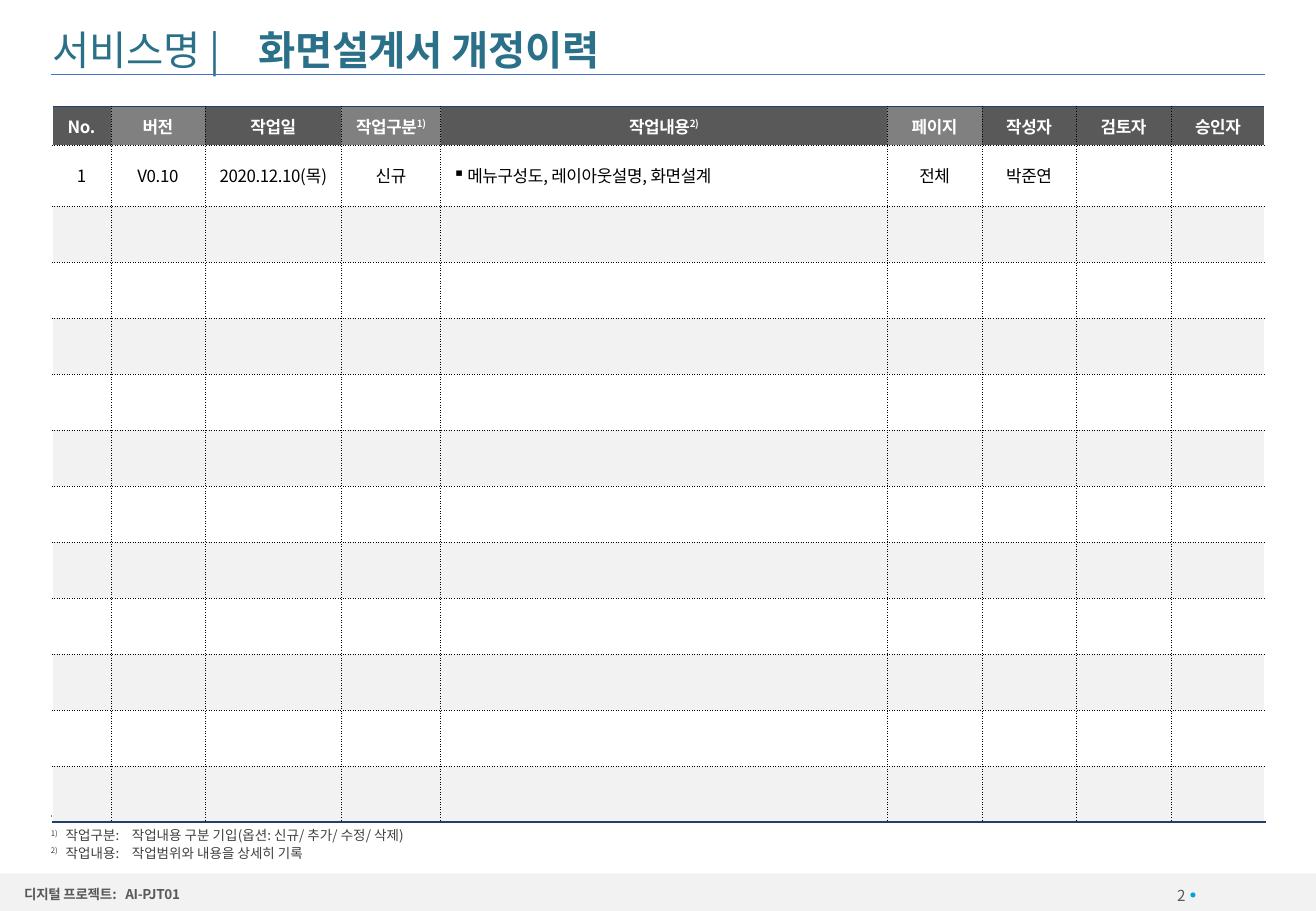
from lxml import etree
from pptx import Presentation
from pptx.dml.color import RGBColor
from pptx.enum.shapes import MSO_CONNECTOR, MSO_SHAPE
from pptx.enum.text import MSO_ANCHOR, MSO_AUTO_SIZE, PP_ALIGN
from pptx.oxml.ns import qn
from pptx.util import Pt

FONT = "Noto Sans CJK KR"
COLORS = {
    "teal": "2B7089", "navy": "1F4E79", "rule": "4472C4", "edge": "22416A",
    "dark": "595959", "mid": "808080", "note": "404040", "band": "F2F2F2",
    "dot": "00A3DF", "black": "000000", "white": "FFFFFF",
}
COLUMN_WIDTHS = [34.6, 56, 80.8, 58.8, 264.8, 56, 56, 56, 56]
HEADER_HEIGHT, ROW_HEIGHT, ROW_COUNT = 23.1, 33.2, 13
HEADERS = ["No.", "버전", "작업일", ("작업구분", "1)"), ("작업내용", "2)"),
           "페이지", "작성자", "검토자", "승인자"]
LIGHT_HEADERS = {1, 3, 5}
CONTENT_COLUMN = 4
FIRST_REVISION = ["1", "V0.10", "2020.12.10(목)", "신규",
                  "메뉴구성도, 레이아웃설명, 화면설계", "전체", "박준연", "", ""]
NOTES = [("1)", "작업구분:\t작업내용 구분 기입(옵션: 신규/ 추가/ 수정/ 삭제)"),
         ("2)", "작업내용:\t작업범위와 내용을 상세히 기록")]


def rgb(name):
    return RGBColor.from_string(COLORS[name])


def set_format(target, values):
    for name, value in values.items():
        setattr(target, name, value)


def add_run(p, text, size, color=None, bold=False, baseline=0, spacing=0):
    r = p.add_run()
    r.text = text
    set_format(r.font, {"name": FONT, "size": Pt(size), "bold": bold})
    if color:
        r.font.color.rgb = rgb(color)
    props = r._r.get_or_add_rPr()
    for name, value in {"baseline": baseline, "spc": spacing}.items():
        if value:
            props.set(name, str(value))
    etree.SubElement(props, qn("a:ea"), typeface=FONT)
    return r


def add_tabs(p, *stops):
    tabs = etree.SubElement(p._p.get_or_add_pPr(), qn("a:tabLst"))
    for stop in stops:
        etree.SubElement(tabs, qn("a:tab"), pos=str(Pt(stop)), algn="l")


def format_frame(tf, anchor):
    set_format(tf, {
        "word_wrap": True, "auto_size": MSO_AUTO_SIZE.NONE,
        "vertical_anchor": anchor, "margin_left": 0, "margin_right": 0,
        "margin_top": 0, "margin_bottom": 0,
    })


def add_text_frame(s, box, anchor=MSO_ANCHOR.MIDDLE):
    tf = s.shapes.add_textbox(*map(Pt, box)).text_frame
    format_frame(tf, anchor)
    return tf


def add_filled_shape(s, kind, box, color):
    sp = s.shapes.add_shape(kind, *map(Pt, box))
    sp.shadow.inherit = False
    sp.fill.solid()
    sp.fill.fore_color.rgb = rgb(color)
    sp.line.fill.background()


def add_rule(s, x1, x2, y, color, width):
    line = s.shapes.add_connector(
        MSO_CONNECTOR.STRAIGHT, Pt(x1), Pt(y), Pt(x2), Pt(y))
    line.line.color.rgb = rgb(color)
    line.line.width = Pt(width)
    etree.SubElement(line._element.spPr, qn("a:effectLst"))


def add_title(s):
    title = s.shapes.title
    set_format(title, {"left": Pt(31), "top": Pt(13), "width": Pt(719),
                       "height": Pt(32)})
    format_frame(title.text_frame, MSO_ANCHOR.MIDDLE)
    p = title.text_frame.paragraphs[0]
    p.alignment = PP_ALIGN.LEFT
    add_tabs(p, 122)
    for text, bold in [("서비스명 |\t", False), ("화면설계서 개정이력", True)]:
        fill = add_run(p, text, 24, bold=bold, spacing=-20).font.fill
        fill.gradient()
        fill.gradient_angle = 270
        for stop, color in zip(fill.gradient_stops, ("teal", "navy")):
            stop.color.rgb = rgb(color)


def add_border(cell, side, color="black", width=0.25, dash="sysDot"):
    ln = etree.Element(qn(f"a:ln{side}"), w=str(Pt(width)))
    fill = etree.SubElement(ln, qn("a:solidFill"))
    etree.SubElement(fill, qn("a:srgbClr"), val=COLORS[color])
    etree.SubElement(ln, qn("a:prstDash"), val=dash)
    cell._tc.get_or_add_tcPr().append(ln)


def add_borders(cell, row, col):
    if col > 0:
        add_border(cell, "L")
    if col < len(COLUMN_WIDTHS) - 1:
        add_border(cell, "R")
    if row == 0:
        add_border(cell, "T", "edge", 0.5, "solid")
    else:
        add_border(cell, "T")
    if row == ROW_COUNT - 1:
        add_border(cell, "B", "edge", 1, "solid")
    else:
        add_border(cell, "B")


def fill_cell(cell, color):
    if color:
        cell.fill.solid()
        cell.fill.fore_color.rgb = rgb(color)
    else:
        cell.fill.background()


def write_cell(cell, content, color, bold):
    p = cell.text_frame.paragraphs[0]
    p.alignment = PP_ALIGN.CENTER
    text, mark = content if isinstance(content, tuple) else (content, "")
    if text:
        add_run(p, text, 10, color, bold, spacing=-20)
    else:
        etree.SubElement(p._p, qn("a:endParaRPr"), sz="1000")
    if mark:
        add_run(p, mark, 10, color, bold, 30000, -20)


def add_bullet(p):
    p.alignment = PP_ALIGN.LEFT
    props = p._p.get_or_add_pPr()
    props.set("marL", str(Pt(8.64)))
    props.set("indent", str(Pt(-8.64)))
    etree.SubElement(props, qn("a:buChar"), char="▪")


def add_history_table(s):
    height = HEADER_HEIGHT + ROW_HEIGHT * (ROW_COUNT - 1)
    table = s.shapes.add_table(
        ROW_COUNT, len(COLUMN_WIDTHS), Pt(31), Pt(63),
        Pt(sum(COLUMN_WIDTHS)), Pt(height)).table
    set_format(table, {"first_row": False, "horz_banding": False})
    for column, width in zip(table.columns, COLUMN_WIDTHS):
        column.width = Pt(width)
    for i, row in enumerate(table.rows):
        row.height = Pt(ROW_HEIGHT if i else HEADER_HEIGHT)
        contents = {0: HEADERS, 1: FIRST_REVISION}.get(i, [""] * len(HEADERS))
        for j, content in enumerate(contents):
            cell = table.cell(i, j)
            cell.vertical_anchor = MSO_ANCHOR.MIDDLE
            add_borders(cell, i, j)
            if i == 0:
                fill_cell(cell, "mid" if j in LIGHT_HEADERS else "dark")
                write_cell(cell, content, "white", True)
            else:
                fill_cell(cell, "band" if i % 2 == 0 else None)
                write_cell(cell, content, "black", False)
    add_bullet(table.cell(1, CONTENT_COLUMN).text_frame.paragraphs[0])


def add_notes(s):
    tf = add_text_frame(s, (30.2, 490, 720, 23), MSO_ANCHOR.TOP)
    for i, (mark, text) in enumerate(NOTES):
        p = tf.add_paragraph() if i else tf.paragraphs[0]
        p.line_spacing = Pt(10.1)
        add_tabs(p, 8.8, 48)
        add_run(p, mark, 8, "note", baseline=30000)
        add_run(p, "\t" + text, 8, "note")


def add_footer(s):
    add_filled_shape(s, MSO_SHAPE.RECTANGLE, (0, 517.7, 780, 22.3), "band")
    add_filled_shape(s, MSO_SHAPE.OVAL, (705.6, 529, 3, 3), "dot")
    p = add_text_frame(s, (652.3, 523.4, 50.4, 14.4)).paragraphs[0]
    p.alignment = PP_ALIGN.RIGHT
    add_run(p, "2", 9, "dark")
    p = add_text_frame(s, (14.4, 524, 305, 12)).paragraphs[0]
    add_tabs(p, 59.9)
    add_run(p, "디지털 프로젝트:\tAI-PJT01", 8, "dark", True, spacing=-20)


def main():
    prs = Presentation()
    set_format(prs, {"slide_width": Pt(780), "slide_height": Pt(540)})
    s = prs.slides.add_slide(prs.slide_layouts[5])
    add_footer(s)
    add_notes(s)
    add_rule(s, 30.2, 67.7, 483.8, "mid", 1)
    add_rule(s, 30.2, 750, 44, "rule", 0.5)
    add_title(s)
    add_history_table(s)
    prs.save("out.pptx")


if __name__ == "__main__":
    main()
